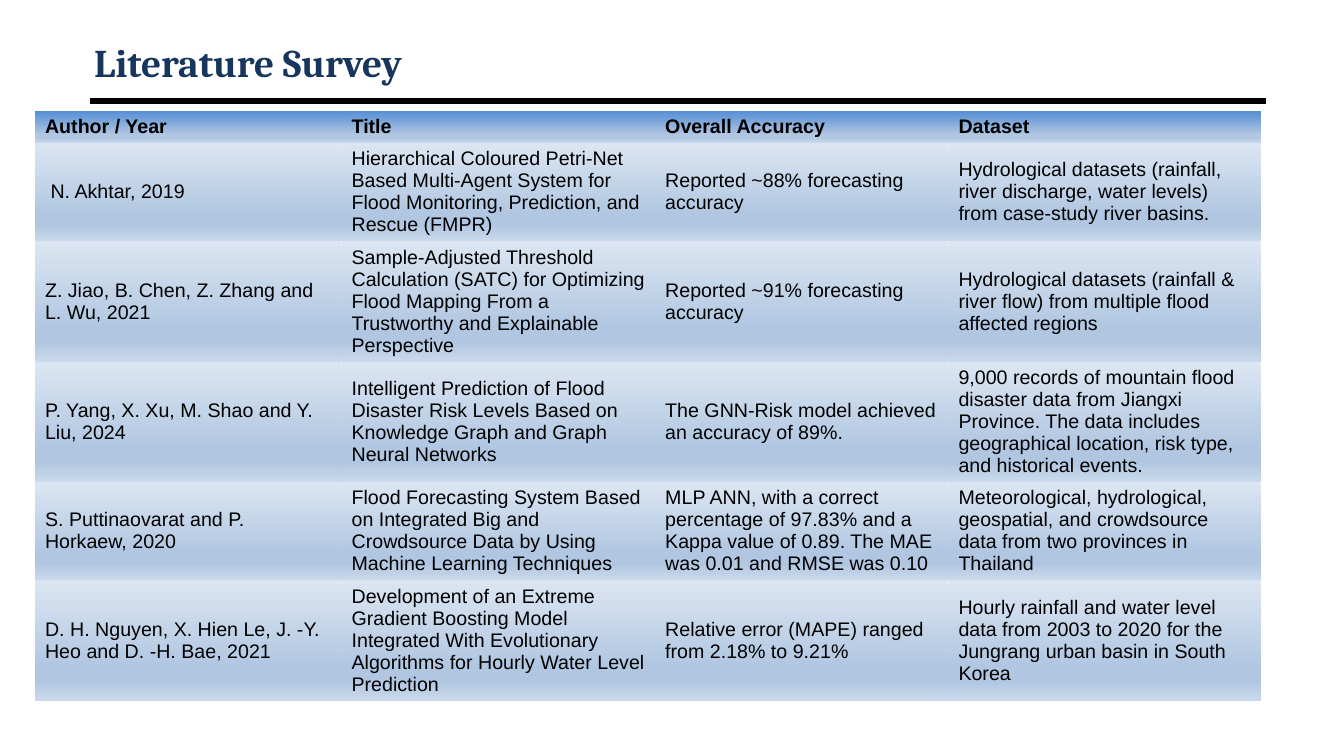
from typing import NamedTuple

from lxml import etree
from pptx import Presentation
from pptx.dml import color
from pptx.enum import shapes, text
from pptx.oxml import ns, parse_xml
from pptx.util import Pt

NO_STYLE = "{2D5ABB26-0587-4C30-8999-92F81FD0307C}"
HEADER_TOP, BODY_TOP = "558ED5", "DCE6F2"
COLUMN_WIDTHS = (219, 224, 209.5, 223)
HEADER_HEIGHT, FOUR_LINES, FIVE_LINES = 22.5, 70, 86


class Study(NamedTuple):
    author: str
    title: str
    accuracy: str
    dataset: str
    height: float


STUDIES = (
    Study(" N. Akhtar, 2019",
          "Hierarchical Coloured Petri-Net Based Multi-Agent System for Flood "
          "Monitoring, Prediction, and Rescue (FMPR)",
          "Reported ~88% forecasting accuracy",
          "Hydrological datasets (rainfall, river discharge, water levels) "
          "from case-study river basins.", FOUR_LINES),
    Study("Z. Jiao, B. Chen, Z. Zhang and L. Wu, 2021",
          "Sample-Adjusted Threshold Calculation (SATC) for Optimizing Flood "
          "Mapping From a Trustworthy and Explainable Perspective",
          "Reported ~91% forecasting accuracy",
          "Hydrological datasets (rainfall & river flow) from multiple flood "
          "affected regions", FIVE_LINES),
    Study("P. Yang, X. Xu, M. Shao and Y. Liu, 2024",
          "Intelligent Prediction of Flood Disaster Risk Levels Based on "
          "Knowledge Graph and Graph Neural Networks",
          "The GNN-Risk model achieved an accuracy of 89%.",
          "9,000 records of mountain flood disaster data from Jiangxi Province. "
          "The data includes geographical location, risk type, and historical "
          "events.", FIVE_LINES),
    Study("S. Puttinaovarat and P. Horkaew, 2020",
          "Flood Forecasting System Based on Integrated Big and Crowdsource "
          "Data by Using Machine Learning Techniques",
          "MLP ANN, with a correct percentage of 97.83% and a Kappa value of "
          "0.89. The MAE was 0.01 and RMSE was 0.10",
          "Meteorological, hydrological, geospatial, and crowdsource data from "
          "two provinces in Thailand", FOUR_LINES),
    Study("D. H. Nguyen, X. Hien Le, J. -Y. Heo and D. -H. Bae, 2021",
          "Development of an Extreme Gradient Boosting Model Integrated With "
          "Evolutionary Algorithms for Hourly Water Level Prediction",
          "Relative error (MAPE) ranged from 2.18% to 9.21%",
          "Hourly rainfall and water level data from 2003 to 2020 for the "
          "Jungrang urban basin in South Korea", FIVE_LINES),
)
HEADER = Study("Author / Year", "Title", "Overall Accuracy", "Dataset", HEADER_HEIGHT)


def rgb(hex_code: str) -> color.RGBColor:
    return color.RGBColor.from_string(hex_code)


def format_text(paragraph, font: str, size: float, hex_code: str, bold: bool) -> None:
    for run in paragraph.runs:
        run.font.name = font
        run.font.size = Pt(size)
        run.font.bold = bold
        run.font.color.rgb = rgb(hex_code)


def shade(cell, top: str) -> None:
    """Fill a cell with a four-stop gradient running downwards."""
    stops = ((0, top), (74, "B0C6E1"), (83, "B0C6E1"), (100, "CAD9EB"))
    stop_list = "".join(
        f'<a:gs pos="{percent * 1000}"><a:srgbClr val="{hex_code}"/></a:gs>'
        for percent, hex_code in stops)
    cell._tc.get_or_add_tcPr().append(parse_xml(
        f'<a:gradFill {ns.nsdecls("a")} rotWithShape="1"><a:gsLst>{stop_list}</a:gsLst>'
        '<a:lin ang="5400000" scaled="0"/></a:gradFill>'))


def add_title(slide) -> None:
    title = slide.shapes.title
    title.left, title.top, title.width, title.height = Pt(60), Pt(25.5), Pt(840), Pt(38)
    frame = title.text_frame
    frame.text = "Literature Survey"
    frame.vertical_anchor = text.MSO_ANCHOR.MIDDLE
    frame.paragraphs[0].alignment = text.PP_ALIGN.LEFT
    format_text(frame.paragraphs[0], "Cambria", 28, "17365D", True)


def add_rule(slide) -> None:
    rule = slide.shapes.add_connector(
        shapes.MSO_CONNECTOR.STRAIGHT, Pt(64), Pt(72), Pt(904), Pt(72))
    rule.line.color.rgb = rgb("000000")
    rule.line.width = Pt(4.5)
    etree.SubElement(rule._element.spPr, ns.qn("a:effectLst"))


def add_survey(slide) -> None:
    rows = (HEADER, *STUDIES)
    frame = slide.shapes.add_table(
        len(rows), len(COLUMN_WIDTHS), Pt(25), Pt(79.2),
        Pt(sum(COLUMN_WIDTHS)), Pt(sum(row.height for row in rows)))
    survey = frame.table
    survey._tbl.tblPr.find(ns.qn("a:tableStyleId")).text = NO_STYLE
    survey.horz_banding = False
    for column, width in zip(survey.columns, COLUMN_WIDTHS):
        column.width = Pt(width)
    for table_row, study in zip(survey.rows, rows):
        table_row.height = Pt(study.height)
        is_header = study is HEADER
        for cell, wording in zip(table_row.cells, study[:-1]):
            cell.text_frame.text = wording
            cell.vertical_anchor = text.MSO_ANCHOR.MIDDLE
            format_text(cell.text_frame.paragraphs[0], "Arial", 14, "000000", is_header)
            shade(cell, HEADER_TOP if is_header else BODY_TOP)


def main() -> None:
    deck = Presentation()
    deck.slide_width, deck.slide_height = Pt(960), Pt(540)
    slide = deck.slides.add_slide(deck.slide_layouts[5])
    add_rule(slide)
    add_survey(slide)
    add_title(slide)
    deck.save("out.pptx")


if __name__ == "__main__":
    main()
